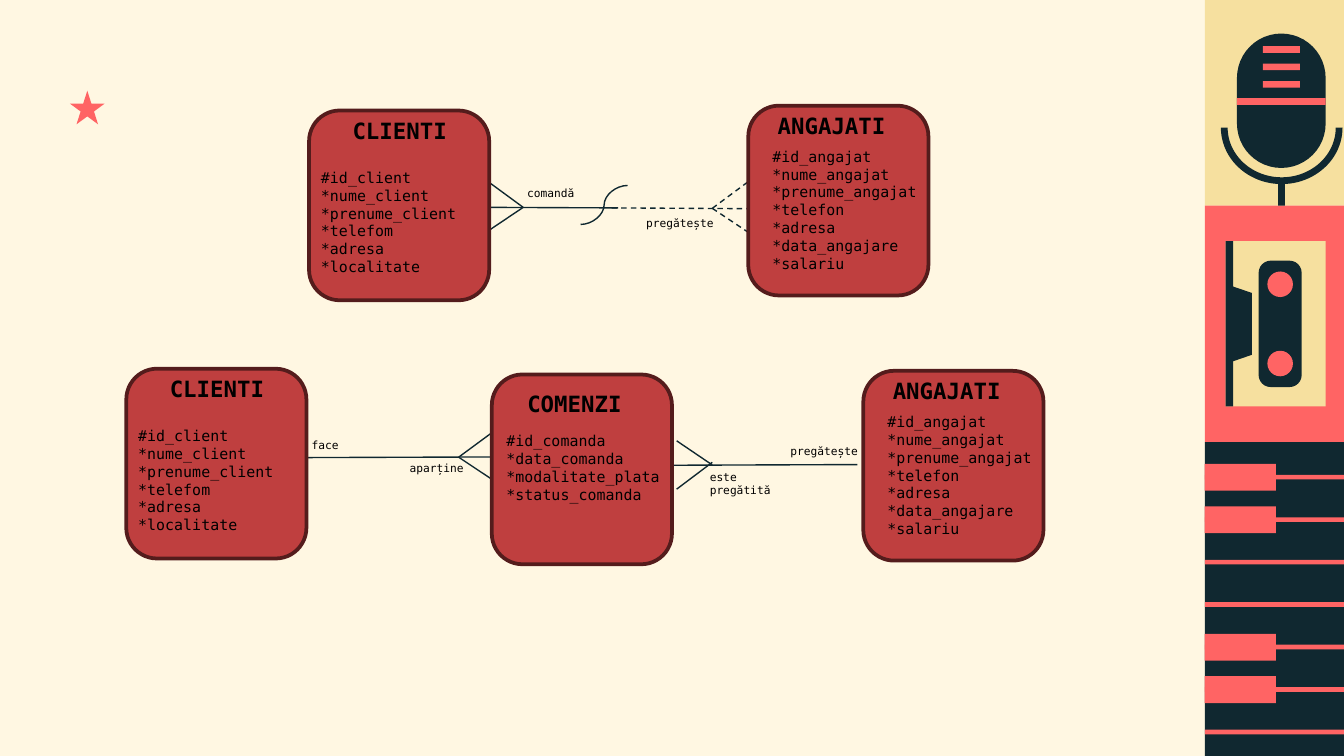
from dataclasses import dataclass
from lxml.etree import SubElement
from pptx import Presentation
from pptx.dml.color import RGBColor
from pptx.enum.dml import MSO_LINE
from pptx.enum.shapes import MSO_CONNECTOR, MSO_SHAPE
from pptx.enum.text import MSO_AUTO_SIZE, PP_ALIGN
from pptx.oxml.ns import qn
from pptx.util import Inches, Pt


@dataclass
class Theme:
    cream: RGBColor = RGBColor.from_string("FFF7E2")
    sand: RGBColor = RGBColor.from_string("F6E09F")
    coral: RGBColor = RGBColor.from_string("FF6464")
    ink: RGBColor = RGBColor.from_string("102830")
    entity: RGBColor = RGBColor.from_string("BF3F3F")
    border: RGBColor = RGBColor.from_string("541C1C")
    text: RGBColor = RGBColor.from_string("000000")
    font: str = "DejaVu Sans Mono"
    heading: Pt = Pt(12)
    attribute: Pt = Pt(8)
    relation: Pt = Pt(6)


theme = Theme()
deck = Presentation()
deck.slide_width = Inches(10)
deck.slide_height = deck.slide_width * 9 // 16
slide = deck.slides.add_slide(deck.slide_layouts[6])
slide.background.fill.solid()
slide.background.fill.fore_color.rgb = theme.cream
cell = deck.slide_width // 100
rows = deck.slide_height / cell


def draw(kind, left, top, width, height, color):
    shape = slide.shapes.add_shape(kind, *(round(n * cell) for n in (left, top, width, height)))
    shape.shadow.inherit = False
    shape.fill.solid()
    shape.fill.fore_color.rgb = color
    shape.line.fill.background()
    return shape


def write(text, left, top, width, height, size, bold=False, align=PP_ALIGN.LEFT):
    box = slide.shapes.add_textbox(*(round(n * cell) for n in (left, top, width, height)))
    box.text_frame.word_wrap = True
    box.text_frame.auto_size = MSO_AUTO_SIZE.SHAPE_TO_FIT_TEXT
    box.text_frame.text = text
    for paragraph in box.text_frame.paragraphs:
        paragraph.alignment = align
        for line_break in paragraph._p.findall(qn("a:br")):
            SubElement(line_break, qn("a:rPr"), sz=str(int(size.pt * 100)))
        for run in paragraph.runs:
            run.font.name, run.font.size, run.font.bold = theme.font, size, bold
            run.font.color.rgb = theme.text


side = 89.64
side_width = 100 - side
mic_end, cassette_end = 15.3, 32.9
for top, bottom, color in [(0, mic_end, theme.sand), (mic_end, cassette_end, theme.coral),
                           (cassette_end, rows, theme.ink)]:
    draw(MSO_SHAPE.RECTANGLE, side, top, side_width, bottom - top, color)

capsule = draw(MSO_SHAPE.ROUNDED_RECTANGLE, 92.04, 2.5, 6.6, 10, theme.ink)
capsule.adjustments[0] = 0.5
draw(MSO_SHAPE.RECTANGLE, 92.04, 7.3, 6.6, 0.5, theme.coral)
for slot in range(3):
    draw(MSO_SHAPE.RECTANGLE, 93.97, 3.43 + 1.3 * slot, 2.75, 0.5, theme.coral)
cradle = draw(MSO_SHAPE.BLOCK_ARC, 90.84, 5.3, 9.05, 8.4, theme.ink)
for index, value in enumerate((0, 108, 0.06)):
    cradle.adjustments[index] = value
draw(MSO_SHAPE.RECTANGLE, 95.1, 13.4, 0.5, mic_end - 13.4, theme.ink)

draw(MSO_SHAPE.RECTANGLE, 91.2, 17.95, 7.45, 12.3, theme.sand)
draw(MSO_SHAPE.RECTANGLE, 91.2, 17.95, 0.55, 12.3, theme.ink)
window = draw(MSO_SHAPE.ROUNDED_RECTANGLE, 93.65, 19.4, 3.2, 9.4, theme.ink)
window.adjustments[0] = 0.28
for reel in (20.2, 26.1):
    draw(MSO_SHAPE.OVAL, 94.3, reel, 1.9, 1.9, theme.coral)
notch_points = [(round(x * cell), round(y * cell))
                for x, y in [(91.4, 21.2), (93.15, 21.8), (93.15, 26.4), (91.4, 27)]]
outline = slide.shapes.build_freeform(*notch_points[0])
outline.add_line_segments(notch_points[1:], close=True)
notch = outline.convert_to_shape()
notch.shadow.inherit = False
notch.fill.solid()
notch.fill.fore_color.rgb = theme.ink
notch.line.fill.background()

key_pitch = 3.16
for key in range(7):
    draw(MSO_SHAPE.RECTANGLE, side, 35.33 + key_pitch * key, side_width, 0.35, theme.coral)
for key in (0, 1, 4, 5):
    draw(MSO_SHAPE.RECTANGLE, side, 34.52 + key_pitch * key, 5.3, 2, theme.coral)

draw(MSO_SHAPE.STAR_5_POINT, 5.2, 6.75, 2.6, 2.5, theme.coral)

straight, curve = MSO_CONNECTOR.STRAIGHT, MSO_CONNECTOR.CURVE
relations = [
    (straight, 36.3, 15.43, 46, 15.47, False),
    (straight, 53, 15.5, 55.7, 13.5, True),
    (straight, 53, 15.5, 55.7, 17.3, True),
    (straight, 38.93, 15.43, 36.3, 13.5, False),
    (straight, 38.93, 15.43, 36.3, 17.2, False),
    (curve, 46.7, 13.8, 43.2, 16.7, False),
    (straight, 45.5, 15.47, 55.8, 15.53, True),
    (straight, 22.9, 34.05, 36.8, 34, False),
    (straight, 34.15, 34, 36.8, 32.05, False),
    (straight, 34.1, 34, 36.8, 35.8, False),
    (straight, 49.9, 34.62, 63.8, 34.57, False),
    (straight, 50.35, 36.4, 53, 34.4, False),
    (straight, 50.35, 32.8, 53, 34.6, False),
]
for kind, *ends, optional in relations:
    relation = slide.shapes.add_connector(kind, *(round(n * cell) for n in ends))
    relation.line.color.rgb = theme.ink
    relation.line.width = Pt(0.75)
    if optional:
        relation.line.dash_style = MSO_LINE.DASH
    SubElement(relation._element.spPr, qn("a:effectLst"))

client = "#id_client\v*nume_client\n*prenume_client\v*telefom\n*adresa\v*localitate"
employee = ("#id_angajat\v*nume_angajat\n*prenume_angajat\v*telefon\n*adresa\v"
            "*data_angajare\v*salariu")
order = "#id_comanda\v*data_comanda\v*modalitate_plata\v*status_comanda"
layouts = {
    "CLIENTI": (client, -5.4, 0, -0.1, 3.8, 9.1),
    "ANGAJATI": (employee, -5.95, -0.05, 0.8, 2.6, 10.4),
    "COMENZI": (order, -6, 0.7, 0.1, 3.75, 7.7),
}
for name, left, top in [("CLIENTI", 23, 8.23), ("ANGAJATI", 55.68, 7.87),
                        ("ANGAJATI", 64.24, 27.6), ("CLIENTI", 9.4, 27.44),
                        ("COMENZI", 36.6, 27.87)]:
    attributes, name_x, name_y, list_x, list_y, list_height = layouts[name]
    entity = draw(MSO_SHAPE.ROUNDED_RECTANGLE, left, top, 13.4, 14.12, theme.entity)
    entity.adjustments[0] = 0.17
    entity.line.color.rgb = theme.border
    entity.line.width = Pt(2)
    write(name, left + name_x, top + name_y, 24.3, 3, theme.heading, True, PP_ALIGN.CENTER)
    write(attributes, left + list_x, top + list_y, 16, list_height, theme.attribute)

for verb, left, top, width, height in [
    ("comandă", 38.24, 13.4, 5.6, 2),
    ("pregătește", 47.1, 15.6, 7.1, 2),
    ("face", 22.2, 32.13, 5.6, 2),
    ("aparține", 29.5, 33.87, 7.3, 2),
    ("pregătește", 57.83, 32.6, 7.6, 2),
    ("este\npregătită", 51.83, 34.5, 7.3, 3),
]:
    write(verb, left, top, width, height, theme.relation)

deck.save("out.pptx")
